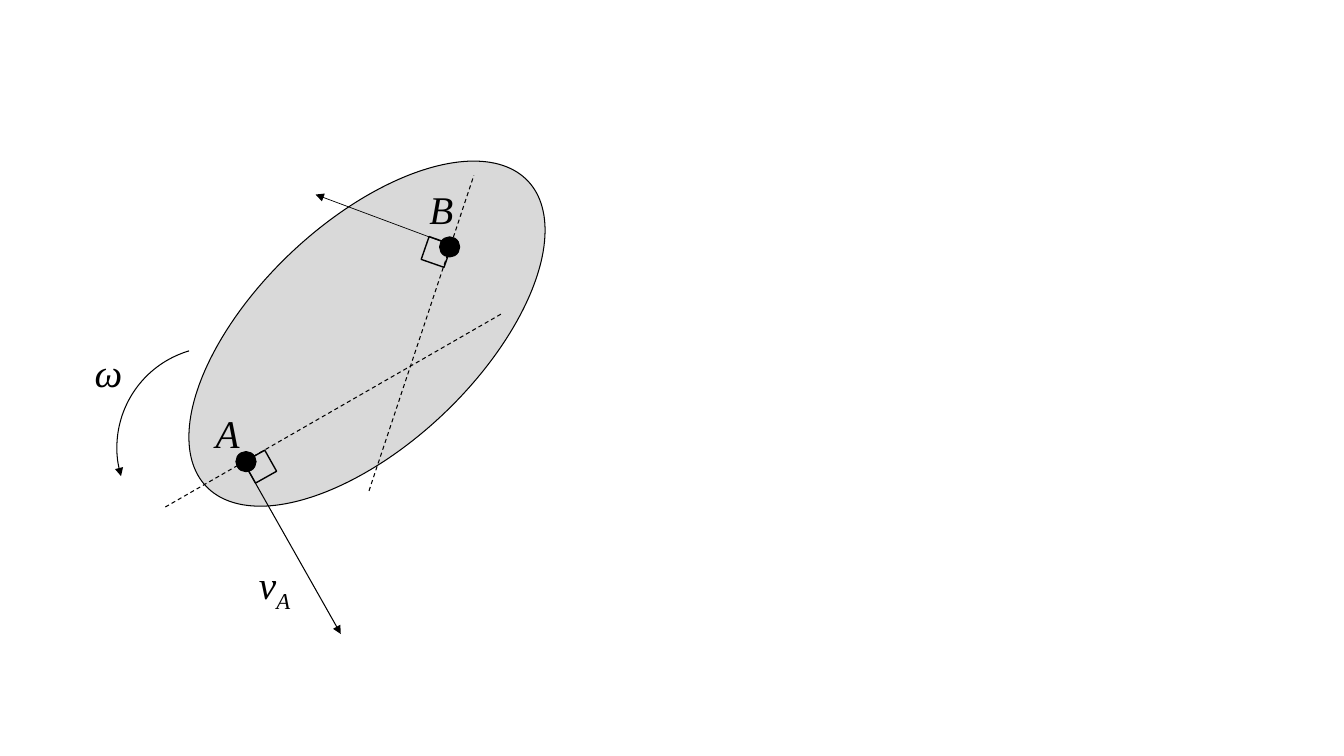
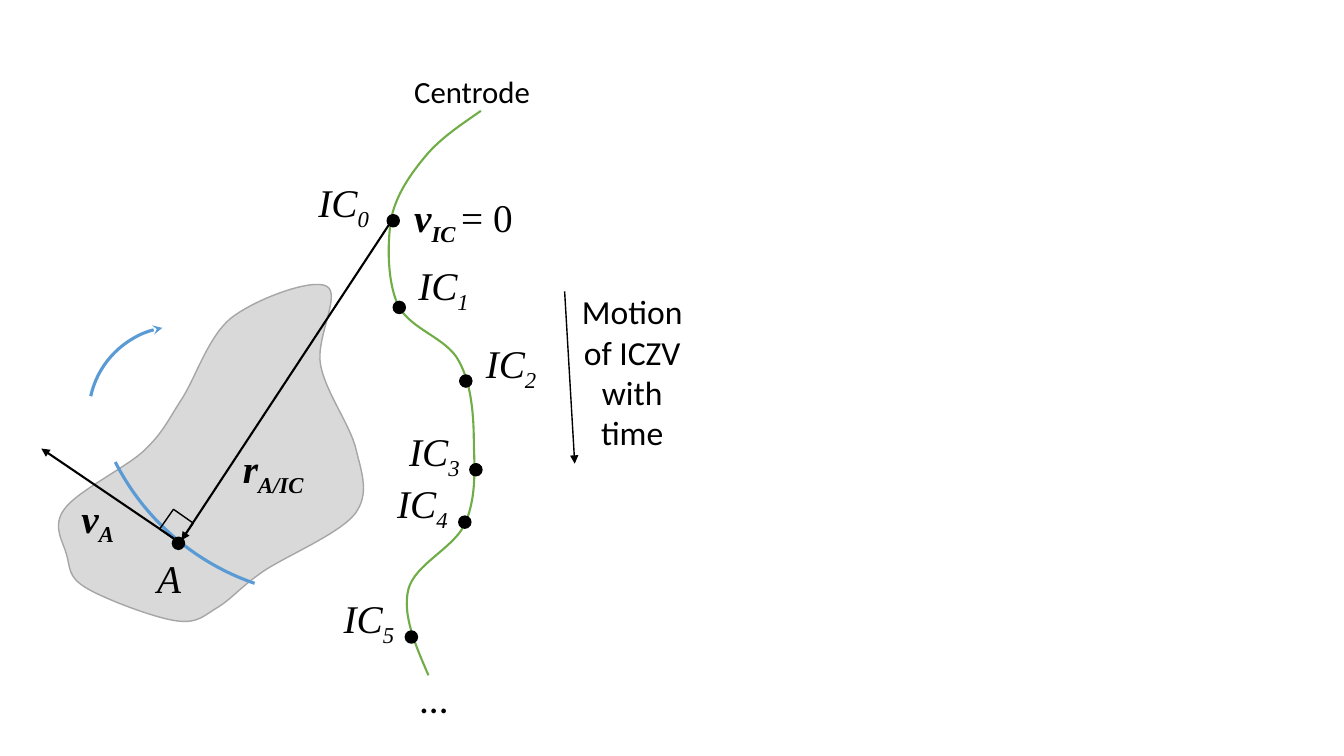
from pptx import Presentation
from pptx.dml.color import RGBColor
from pptx.enum import dml, shapes, text
from pptx.oxml.ns import qn
from pptx.oxml.xmlchemy import OxmlElement
from pptx.util import Inches, Pt

BLACK = RGBColor(0x00, 0x00, 0x00)
BODY_FILL = RGBColor(0xD9, 0xD9, 0xD9)
BODY_EDGE = RGBColor(0xA6, 0xA6, 0xA6)
PATH_BLUE = RGBColor(0x5B, 0x9B, 0xD5)
CENTRODE_GREEN = RGBColor(0x70, 0xAD, 0x47)
MATH_FONT = "Times New Roman"
TEXT_FONT = "Calibri"
MATH_SIZE = 28

# Cubic curves: a start point, then two handles and an end point per segment.
BODY_OUTLINE = [
    (2.61, 3.67), (2.83, 3.52), (3.36, 3.3), (3.52, 3.1),
    (3.67, 2.9), (3.59, 2.7), (3.53, 2.45),
    (3.47, 2.21), (3.23, 1.89), (3.18, 1.62),
    (3.13, 1.35), (3.39, 0.92), (3.24, 0.84),
    (3.1, 0.76), (2.55, 0.96), (2.3, 1.15),
    (2.06, 1.34), (1.94, 1.76), (1.79, 1.98),
    (1.65, 2.2), (1.61, 2.3), (1.42, 2.48),
    (1.23, 2.65), (0.76, 2.88), (0.64, 3.05),
    (0.51, 3.22), (0.63, 3.38), (0.66, 3.5),
    (0.7, 3.63), (0.67, 3.72), (0.85, 3.83),
    (1.03, 3.94), (1.53, 4.13), (1.75, 4.16),
    (1.97, 4.19), (2.03, 4.1), (2.17, 4.02),
    (2.31, 3.93), (2.38, 3.83), (2.61, 3.67),
]
CENTRODE = [
    (1.77, 1.1), (1.57, 1.24), (1.37, 1.37), (1.22, 1.55),
    (1.07, 1.73), (0.93, 1.93), (0.88, 2.17),
    (0.84, 2.42), (0.84, 2.8), (0.95, 3.03),
    (1.07, 3.27), (1.43, 3.35), (1.55, 3.58),
    (1.68, 3.81), (1.7, 4.14), (1.7, 4.41),
    (1.71, 4.68), (1.72, 4.96), (1.61, 5.2),
    (1.5, 5.44), (1.11, 5.6), (1.05, 5.85),
    (0.99, 6.1), (1.12, 6.4), (1.25, 6.7),
]
# Centre of each dot, then left and top of its label.
CENTRES = [
    ((0.9, 2.19), (0.06, 1.72)),
    ((0.96, 3.05), (1.05, 2.54)),
    ((1.62, 3.78), (1.72, 3.32)),
    ((1.72, 4.66), (0.96, 4.19)),
    ((1.61, 5.18), (0.84, 4.71)),
    ((1.08, 6.32), (0.31, 5.85)),
]


def style_outline(shape, color, width, fill=None):
    shape.shadow.inherit = False
    if fill is None:
        shape.fill.background()
    else:
        shape.fill.solid()
        shape.fill.fore_color.rgb = fill
    shape.line.color.rgb = color
    shape.line.width = Pt(width)


def add_arrowhead(shape, end, head_type):
    """Put an arrowhead on the line; end is "head" for its start, "tail" for its end."""
    tip = OxmlElement(f"a:{end}End")
    tip.set("type", head_type)
    shape.line._get_or_add_ln().append(tip)


class Region:
    """A part of a slide; all positions are inches from its left top corner."""

    def __init__(self, canvas, left, top):
        self.canvas, self.left, self.top = canvas, left, top

    def place(self, x, y):
        return Inches(self.left + x), Inches(self.top + y)

    def group(self):
        return Region(self.canvas.add_group_shape().shapes, self.left, self.top)

    def preset(self, kind, center, width, height, line_width, rotation=0,
               color=BLACK, fill=None):
        corner = self.place(center[0] - width / 2, center[1] - height / 2)
        shape = self.canvas.add_shape(kind, *corner, Inches(width), Inches(height))
        shape.rotation = rotation
        style_outline(shape, color, line_width, fill)
        return shape

    def dot(self, center, size, line_width):
        self.preset(shapes.MSO_SHAPE.OVAL, center, size, size, line_width, fill=BLACK)

    def right_angle(self, center, rotation):
        self.preset(shapes.MSO_SHAPE.RECTANGLE, center, 0.24, 0.24, 1, rotation)

    def arc(self, center, radius, angles, width, color, arrow=None):
        """Clockwise circular arc between two angles in degrees."""
        shape = self.preset(shapes.MSO_SHAPE.ARC, center, 2 * radius, 2 * radius,
                            width, color=color)
        for index, angle in enumerate(angles):
            shape.adjustments[index] = angle * 0.6
        if arrow:
            add_arrowhead(shape, *arrow)

    def line(self, start, end, width, arrow=False, dashed=False):
        connector = self.canvas.add_connector(
            shapes.MSO_CONNECTOR.STRAIGHT, *self.place(*start), *self.place(*end))
        connector.line.color.rgb = BLACK
        connector.line.width = Pt(width)
        if dashed:
            connector.line.dash_style = dml.MSO_LINE.DASH
        if arrow:
            add_arrowhead(connector, "tail", "triangle")
        connector._element.spPr.append(OxmlElement("a:effectLst"))

    def curve(self, points, color, width, fill=None):
        start, *rest = [self.place(*point) for point in points]
        builder = self.canvas.build_freeform(*start, scale=1.0)
        builder.add_line_segments(rest, close=fill is not None)
        shape = builder.convert_to_shape()
        outline = shape._element.spPr.find(".//" + qn("a:path"))
        steps = outline.findall(qn("a:lnTo"))
        for first in range(0, len(steps), 3):
            cubic = OxmlElement("a:cubicBezTo")
            steps[first].addprevious(cubic)
            for step in steps[first:first + 3]:
                cubic.append(step[0])
                outline.remove(step)
        style_outline(shape, color, width, fill)

    def text_box(self, corner, width, height):
        frame = self.canvas.add_textbox(
            *self.place(*corner), Inches(width), Inches(height)).text_frame
        frame.word_wrap = True
        return frame

    def caption(self, words, corner, width, height, size, align=None):
        frame = self.text_box(corner, width, height)
        frame.text = words
        paragraph = frame.paragraphs[0]
        paragraph.alignment = align
        font = paragraph.runs[0].font
        font.name, font.size, font.color.rgb = TEXT_FONT, Pt(size), BLACK

    def symbol(self, base, corner, sub="", rest="", bold=False, width=0.8, height=0.48):
        """Italic symbol with a subscript, then upright text."""
        paragraph = self.text_box(corner, width, height).paragraphs[0]
        for role, words in (("base", base), ("sub", sub), ("rest", rest)):
            if not words:
                continue
            run = paragraph.add_run()
            run.text = words
            font = run.font
            font.name, font.size, font.color.rgb = MATH_FONT, Pt(MATH_SIZE), BLACK
            font.italic = role != "rest"
            font.bold = bold and role != "rest"
            if role == "sub":
                run._r.get_or_add_rPr().set("baseline", "-25000")


def draw_rotating_ellipse(region):
    region.preset(shapes.MSO_SHAPE.OVAL, (2.64, 2.31), 4.4, 2.2, 0.75, 316.5,
                  fill=BODY_FILL)
    for start, end in (((0.64, 4.03), (3.98, 2.11)), ((2.66, 3.87), (3.7, 0.74))):
        region.line(start, end, 0.75, dashed=True)
    region.line((1.43, 3.61), (2.38, 5.29), 0.75, arrow=True)
    region.line((3.39, 1.4), (2.13, 0.93), 0.5, arrow=True)
    region.arc((1.16, 3.44), 1, (163.5, 253.5), 0.75, BLACK, ("head", "triangle"))
    for center in ((1.44, 3.58), (3.46, 1.45)):
        region.dot(center, 0.2, 0.75)
    region.right_angle((3.33, 1.5), 19.1)
    region.right_angle((1.58, 3.63), 60.7)
    for name, corner, sub in (("A", (1.04, 3.01), ""), ("ω", (-0.16, 2.41), ""),
                              ("v", (1.47, 4.51), "A"), ("B", (3.16, 0.79), "")):
        region.symbol(name, corner, sub, height=1)


def draw_moving_body(region):
    region.curve(BODY_OUTLINE, BODY_EDGE, 1, BODY_FILL)
    region.symbol("v", (0.71, 2.85), "A", bold=True)
    region.arc((3.32, 1.48), 2.44, (109, 153.1), 2.25, PATH_BLUE)
    region.arc((1.76, 2.12), 0.88, (192.4, 260.2), 2.25, PATH_BLUE, ("tail", "stealth"))
    region.line((1.78, 3.38), (0.41, 2.45), 1.5, arrow=True)
    region.line((3.91, 0.15), (1.8, 3.36), 1.5, arrow=True)
    region.right_angle((1.75, 3.22), 35)
    region.symbol("r", (2.31, 2.36), "A/IC", bold=True, width=1.01)
    point = region.group()
    point.symbol("A", (1.46, 3.45), width=0.5)
    point.dot((1.77, 3.39), 0.12, 1)


def draw_centrode(region):
    region.curve(CENTRODE, CENTRODE_GREEN, 1.5)
    region.caption("Centrode", (1.01, 0.67), 2.14, 0.47, 22)
    for number, (center, corner) in enumerate(CENTRES):
        point = region.group()
        point.symbol("IC", corner, str(number), width=0.92)
        point.dot(center, 0.12, 1)
    region.symbol("v", (1.01, 1.87), "IC ", "= 0", bold=True, width=2.58)
    region.caption("…", (1.07, 6.64), 1.08, 0.57, 28)


def draw_motion_note(region):
    region.line((0.1, 0.09), (0.2, 1.8), 1, arrow=True)
    region.caption("Motion of ICZV with time", (0.08, 0.04), 1.38, 1.72, 24,
                   text.PP_ALIGN.CENTER)


def main():
    deck = Presentation()
    deck.slide_width, deck.slide_height = Inches(13.33), Inches(7.5)
    blank = deck.slide_layouts[6]

    ellipse_canvas = deck.slides.add_slide(blank).shapes
    draw_rotating_ellipse(Region(ellipse_canvas, 1, 1))

    centrode_canvas = deck.slides.add_slide(blank).shapes
    draw_moving_body(Region(centrode_canvas, 0, 2))
    draw_centrode(Region(centrode_canvas, 3, 0))
    draw_motion_note(Region(centrode_canvas, 5.5, 2.8))

    deck.save("out.pptx")


if __name__ == "__main__":
    main()
